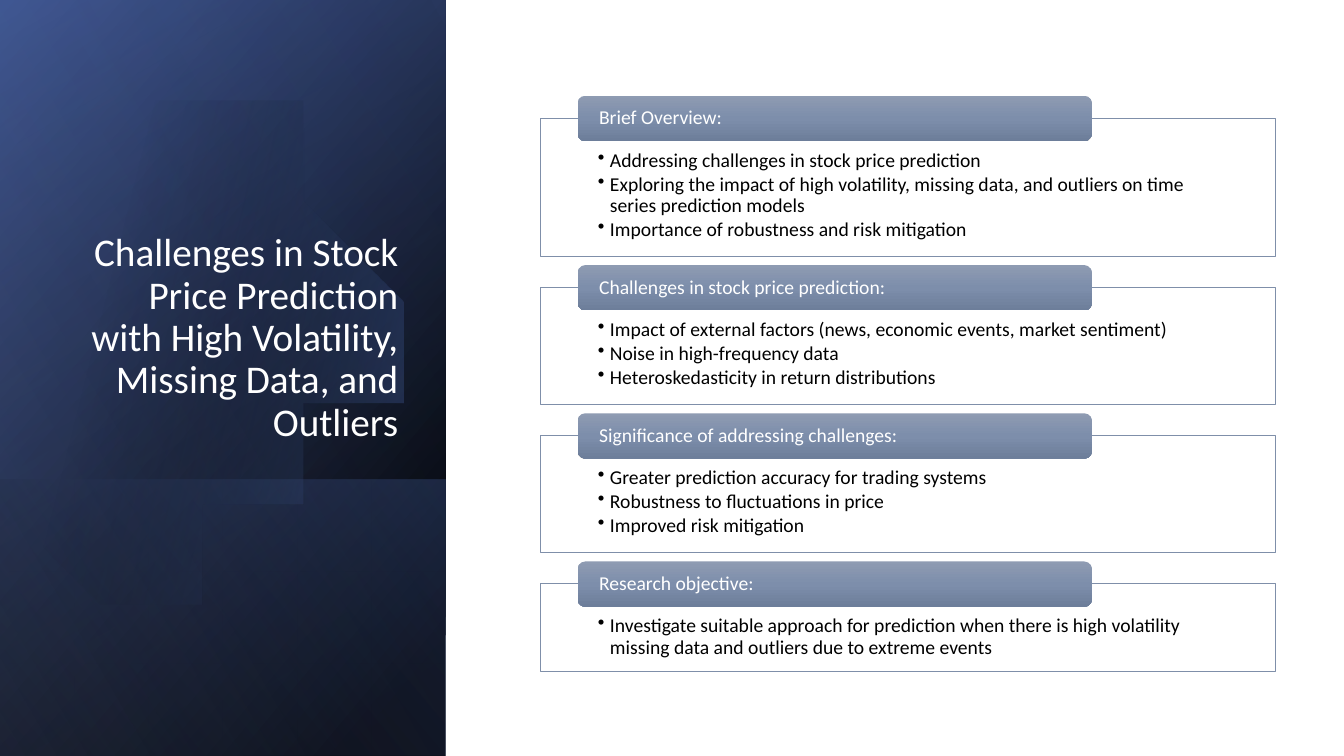
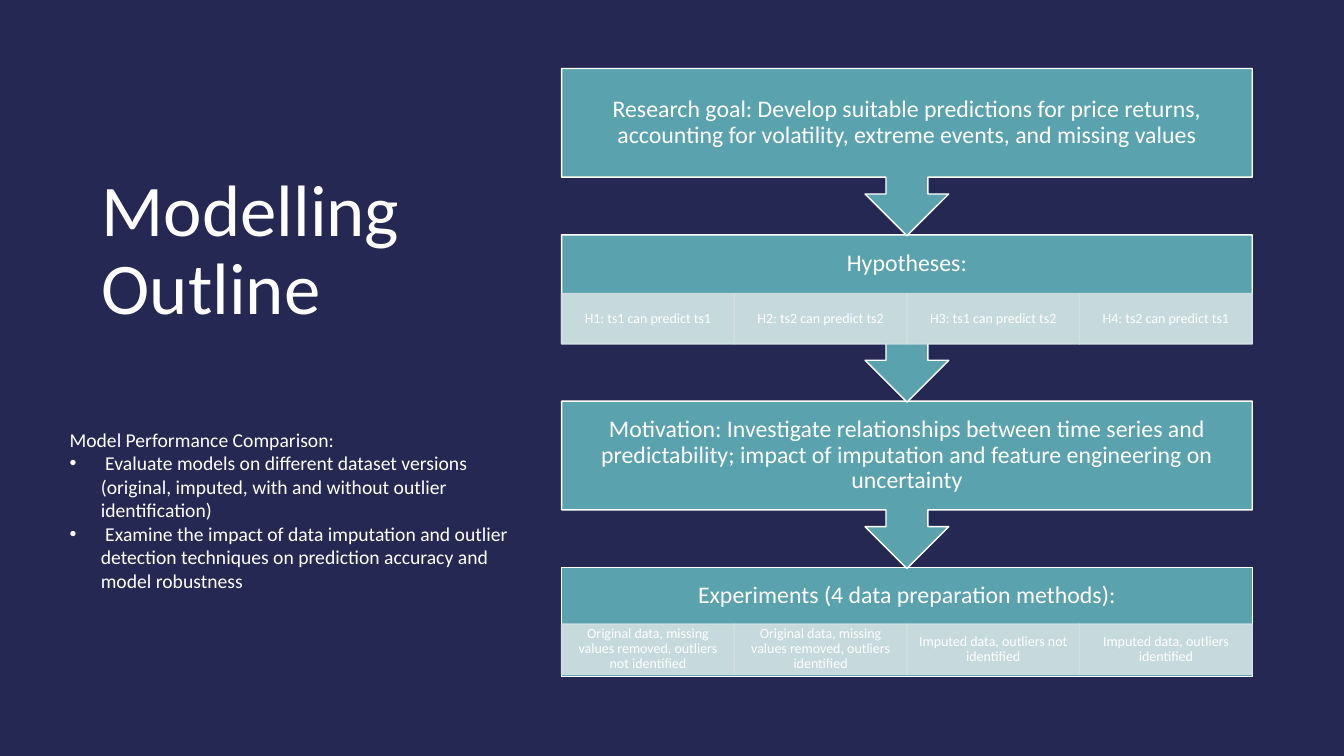
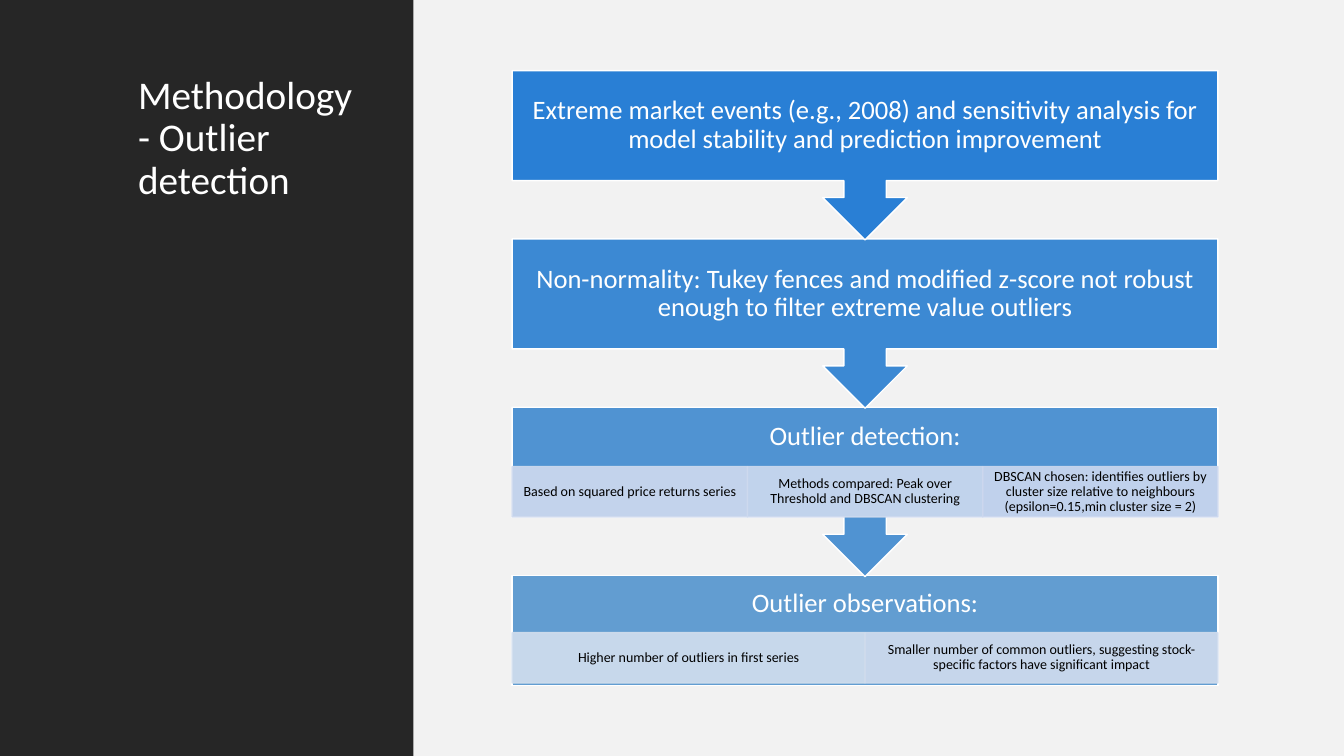
from dataclasses import dataclass

import pptx
import pptx.dml.color
import pptx.enum.shapes
import pptx.enum.text
import pptx.oxml
import pptx.oxml.ns
import pptx.util
from pptx.util import Inches

SHAPES = pptx.enum.shapes.MSO_SHAPE
ALIGN = pptx.enum.text.PP_ALIGN
ANCHOR = pptx.enum.text.MSO_ANCHOR
qn = pptx.oxml.ns.qn


@dataclass(frozen=True)
class Theme:
    font: str = "Calibri"
    white: str = "FFFFFF"
    black: str = "000000"
    navy: str = "242852"
    blue: str = "4A66AC"
    deep_blue: str = "384C81"
    pale_blue: str = "90A2CF"
    slate: str = "7F8FA9"
    tab_light: str = "8E9BB2"
    tab_mid: str = "7D8EAB"
    tab_dark: str = "6D7E9A"
    teal: str = "5AA2AE"
    pale_teal: str = "D2E0E3"
    charcoal: str = "262626"
    light_grey: str = "F2F2F2"
    hero_size: int = 52
    title_size: int = 28
    body_size: int = 14
    cell_size: int = 10


THEME = Theme()


@dataclass(frozen=True)
class Box:
    left: float
    top: float
    width: float
    height: float


@dataclass(frozen=True)
class Stop:
    position: int
    color: str
    opacity: int = 100


@dataclass(frozen=True)
class TextStyle:
    size: int
    color: str = THEME.white
    align: ALIGN = ALIGN.LEFT
    spacing: float = 0.9
    after: float = 0
    indent: float = 0


@dataclass(frozen=True)
class Card:
    heading: str
    points: tuple[str, ...]
    height: float


@dataclass(frozen=True)
class Cell:
    text: str
    fill: str


@dataclass(frozen=True)
class Step:
    text: str
    fill: str
    cells: tuple[Cell, ...] = ()


@dataclass(frozen=True)
class Flow:
    left: float
    top: float
    width: float
    pitch: float
    callout: float
    box: float
    size: int
    inset: float
    cell_color: str
    steps: tuple[Step, ...]


# Shared drawing functions
def rgb(color: str) -> pptx.dml.color.RGBColor:
    return pptx.dml.color.RGBColor.from_string(color)


def place(shape, box: Box) -> None:
    shape.left, shape.top = Inches(box.left), Inches(box.top)
    shape.width, shape.height = Inches(box.width), Inches(box.height)


def add_box(slide, kind, box: Box, fill: str, line: str = "", weight: float = 1):
    shape = slide.shapes.add_shape(
        kind, Inches(box.left), Inches(box.top), Inches(box.width), Inches(box.height))
    shape.shadow.inherit = False
    shape.fill.solid()
    shape.fill.fore_color.rgb = rgb(fill)
    if line:
        shape.line.color.rgb = rgb(line)
        shape.line.width = pptx.util.Pt(weight)
    else:
        shape.line.fill.background()
    return shape


def set_opacity(shape, percent: int) -> None:
    for color in shape._element.spPr.iter(qn("a:srgbClr")):
        color.append(pptx.oxml.parse_xml(
            f'<a:alpha {pptx.oxml.ns.nsdecls("a")} val="{percent * 1000}"/>'))


def set_gradient(shape, angle: int, stops: tuple[Stop, ...]) -> None:
    stop_xml = "".join(
        f'<a:gs pos="{stop.position * 1000}"><a:srgbClr val="{stop.color}">'
        f'<a:alpha val="{stop.opacity * 1000}"/></a:srgbClr></a:gs>' for stop in stops)
    gradient = pptx.oxml.parse_xml(
        f'<a:gradFill {pptx.oxml.ns.nsdecls("a")} rotWithShape="1"><a:gsLst>{stop_xml}</a:gsLst>'
        f'<a:lin ang="{angle * 60000}" scaled="0"/></a:gradFill>')
    shape.fill.background()
    properties = shape._element.spPr
    properties.replace(properties.find(qn("a:noFill")), gradient)


def set_bullet(paragraph, indent: float) -> None:
    properties = paragraph._p.get_or_add_pPr()
    nsdecls = pptx.oxml.ns.nsdecls("a")
    properties.set("marL", str(Inches(indent)))
    properties.set("indent", str(-Inches(indent)))
    bullet = f'<a:buChar {nsdecls} char="•"/>' if indent else f"<a:buNone {nsdecls}/>"
    properties.append(pptx.oxml.parse_xml(bullet))


def write(shape, lines: tuple[str, ...], style: TextStyle, anchor=ANCHOR.MIDDLE,
          insets: tuple[float, float, float, float] = (0.1, 0.05, 0.1, 0.05),
          plain_lines: int = 0) -> None:
    frame = shape.text_frame
    frame.word_wrap = True
    frame.auto_size = pptx.enum.text.MSO_AUTO_SIZE.NONE
    frame.vertical_anchor = anchor
    frame.margin_left, frame.margin_top, frame.margin_right, frame.margin_bottom = map(Inches, insets)
    for index, line in enumerate(lines):
        paragraph = frame.add_paragraph() if index else frame.paragraphs[0]
        paragraph.text = line
        set_bullet(paragraph, style.indent if index >= plain_lines else 0)
        paragraph.alignment = style.align
        paragraph.line_spacing = style.spacing
        paragraph.space_before = pptx.util.Pt(0)
        paragraph.space_after = pptx.util.Pt(style.after)
        paragraph.font.name = THEME.font
        paragraph.font.size = pptx.util.Pt(style.size)
        paragraph.font.color.rgb = rgb(style.color)


def write_title(slide, text: str, box: Box, anchor, size: int = THEME.title_size,
                align=ALIGN.LEFT) -> None:
    title = slide.shapes.title
    place(title, box)
    write(title, (text,), TextStyle(size, align=align), anchor)
    slide.shapes._spTree.append(title._element)  # in front of the side panel


# Gradient side panel
def add_panel_layer(slide, box: Box, angle: int, stops: tuple[Stop, ...]) -> None:
    turned = Box(box.left + (box.width - box.height) / 2,
                 box.top + (box.height - box.width) / 2, box.height, box.width)
    layer = add_box(slide, SHAPES.RECTANGLE, turned, THEME.black)
    set_gradient(layer, angle, stops)
    layer.rotation = 90
    layer._element.spPr.find(qn("a:xfrm")).set("flipH", "1")


def curve_points(start, control_1, control_2, end, count: int = 16):
    for step in range(1, count + 1):
        t = step / count
        weights = ((1 - t) ** 3, 3 * t * (1 - t) ** 2, 3 * t * t * (1 - t), t ** 3)
        yield tuple(sum(weight * point[axis] for weight, point in
                        zip(weights, (start, control_1, control_2, end))) for axis in (0, 1))


def add_disc(slide) -> None:
    start = (1.49, 1.1)
    curves = (
        ((2.46, 1.12), (3.35, 1.77), (3.63, 2.75)),
        ((3.98, 3.97), (3.28, 5.23), (2.07, 5.58)),
        ((1.31, 5.8), (0.53, 5.61), (0, 5.16)),
        ((0, 5.16), (0, 1.61), (0, 1.61)),
        ((0.23, 1.42), (0.5, 1.28), (0.8, 1.19)),
        ((1.03, 1.13), (1.26, 1.1), start),
    )
    outline = slide.shapes.build_freeform(*start, scale=float(Inches(1)))
    pen = start
    for curve in curves:
        outline.add_line_segments(list(curve_points(pen, *curve)), close=False)
        pen = curve[-1]
    outline.add_line_segments([], close=True)
    disc = outline.convert_to_shape()
    disc.shadow.inherit = False
    disc.line.fill.background()
    set_gradient(disc, 14, (Stop(29, THEME.black, 0), Stop(100, THEME.blue, 43)))


def add_gradient_panel(slide) -> None:
    whole = Box(0, 0, 4.42, 7.5)
    add_panel_layer(slide, whole, 50, (Stop(8, THEME.black), Stop(100, THEME.deep_blue)))
    add_panel_layer(slide, whole, 30, (Stop(0, THEME.black, 0), Stop(99, THEME.blue, 46)))
    add_panel_layer(slide, Box(0, 4.76, 4.42, 2.74), 130,
                    (Stop(2, THEME.blue, 29), Stop(100, THEME.black, 30)))
    add_disc(slide)
    add_panel_layer(slide, whole, 120, (Stop(0, THEME.black, 0), Stop(99, THEME.pale_blue, 11)))


# Cards with a heading tab
def add_cards(slide, cards: tuple[Card, ...]) -> None:
    top, gap = 1.17, 0.31
    points_style = TextStyle(THEME.body_size, THEME.black, after=2.1, indent=0.12)
    for card in cards:
        body = add_box(slide, SHAPES.RECTANGLE, Box(5.36, top, 7.29, card.height),
                       THEME.white, THEME.slate, 0.5)
        write(body, card.points, points_style, ANCHOR.TOP, (0.57, 0.32, 0.57, 0.11))
        tab = add_box(slide, SHAPES.ROUNDED_RECTANGLE, Box(5.73, top - 0.22, 5.1, 0.45), THEME.slate)
        set_gradient(tab, 90, (Stop(0, THEME.tab_light), Stop(50, THEME.tab_mid),
                               Stop(100, THEME.tab_dark)))
        write(tab, (card.heading,), TextStyle(THEME.body_size), insets=(0.19, 0, 0.19, 0))
        top += card.height + gap


# Flow of steps, drawn from the last one up so that each arrow overlaps the next step
def add_flow(slide, flow: Flow) -> None:
    last = len(flow.steps) - 1
    heading_style = TextStyle(flow.size, align=ALIGN.CENTER)
    cell_style = TextStyle(THEME.cell_size, flow.cell_color, ALIGN.CENTER)
    for index in range(last, -1, -1):
        step = flow.steps[index]
        top = flow.top + index * flow.pitch
        kind, height, share = (
            (SHAPES.RECTANGLE, flow.box, 0.52) if index == last
            else (SHAPES.DOWN_ARROW_CALLOUT, flow.callout, 0.54))
        heading_height = flow.box * share if step.cells else flow.box
        block = add_box(slide, kind, Box(flow.left, top, flow.width, height), step.fill, THEME.white)
        bottom_inset = flow.inset + flow.box - heading_height
        write(block, (step.text,), heading_style,
              insets=(flow.inset, flow.inset, flow.inset, bottom_inset))
        for column, cell in enumerate(step.cells):
            width = flow.width / len(step.cells)
            tile = add_box(slide, SHAPES.RECTANGLE,
                           Box(flow.left + column * width, top + heading_height, width, 0.5),
                           cell.fill, cell.fill)
            set_opacity(tile, 90)
            write(tile, (cell.text,), cell_style, insets=(0.08, 0.01, 0.08, 0.01))


# Content
CARDS = (
    Card("Brief Overview:", (
        "Addressing challenges in stock price prediction",
        "Exploring the impact of high volatility, missing data, and outliers on time series prediction models",
        "Importance of robustness and risk mitigation"), 1.37),
    Card("Challenges in stock price prediction:", (
        "Impact of external factors (news, economic events, market sentiment)",
        "Noise in high-frequency data",
        "Heteroskedasticity in return distributions"), 1.16),
    Card("Significance of addressing challenges:", (
        "Greater prediction accuracy for trading systems",
        "Robustness to fluctuations in price",
        "Improved risk mitigation"), 1.16),
    Card("Research objective:", (
        "Investigate suitable approach for prediction when there is high volatility "
        "missing data and outliers due to extreme events",), 0.87),
)

HYPOTHESES = ("H1: ts1 can predict ts1", "H2: ts2 can predict ts2",
              "H3: ts1 can predict ts2", "H4: ts2 can predict ts1")
EXPERIMENTS = ("Original data, missing values removed, outliers not identified",
               "Original data, missing values removed, outliers identified",
               "Imputed data, outliers not identified",
               "Imputed data, outliers identified")

MODELLING = Flow(5.57, 0.68, 6.85, 1.65, 1.66, 1.08, 17, 0.13, THEME.white, (
    Step("Research goal: Develop suitable predictions for price returns, accounting for "
         "volatility, extreme events, and missing values", THEME.teal),
    Step("Hypotheses:", THEME.teal, tuple(Cell(text, THEME.pale_teal) for text in HYPOTHESES)),
    Step("Motivation: Investigate relationships between time series and predictability; "
         "impact of imputation and feature engineering on uncertainty", THEME.teal),
    Step("Experiments (4 data preparation methods):", THEME.teal,
         tuple(Cell(text, THEME.pale_teal) for text in EXPERIMENTS)),
))

COMPARISON = (
    "Model Performance Comparison:",
    " Evaluate models on different dataset versions (original, imputed, with and without "
    "outlier identification)",
    " Examine the impact of data imputation and outlier detection techniques on prediction "
    "accuracy and model robustness",
)

OUTLIERS = Flow(5.08, 0.7, 7, 1.67, 1.68, 1.09, 19, 0.15, THEME.black, (
    Step("Extreme market events (e.g., 2008) and sensitivity analysis for model stability "
         "and prediction improvement", "297FD5"),
    Step("Non-normality: Tukey fences and modified z-score not robust enough to filter "
         "extreme value outliers", "3C89D3"),
    Step("Outlier detection:", "5093D2", (
        Cell("Based on squared price returns series", "D0DBEF"),
        Cell("Methods compared: Peak over Threshold and DBSCAN clustering", "CEDAEF"),
        Cell("DBSCAN chosen: identifies outliers by cluster size relative to neighbours "
             "(epsilon=0.15,min cluster size = 2)", "CDD8EF"))),
    Step("Outlier observations:", "629DD1", (
        Cell("Higher number of outliers in first series", "D3DFEE"),
        Cell("Smaller number of common outliers, suggesting stock-specific factors have "
             "significant impact", "D1DDEE"))),
))


# Slides
def build_challenges(slide) -> None:
    add_gradient_panel(slide)
    write_title(slide, "Challenges in Stock Price Prediction with High Volatility, Missing Data, and Outliers",
                Box(0.64, 1.84, 3.41, 2.62), ANCHOR.BOTTOM, align=ALIGN.RIGHT)
    add_cards(slide, CARDS)


def build_modelling(slide) -> None:
    slide.background.fill.solid()
    slide.background.fill.fore_color.rgb = rgb(THEME.navy)
    write_title(slide, "Modelling Outline", Box(0.91, 0.37, 3.69, 4.26), ANCHOR.MIDDLE, THEME.hero_size)
    add_flow(slide, MODELLING)
    comparison = slide.placeholders[1]
    place(comparison, Box(0.59, 4.19, 4.66, 1.75))
    write(comparison, COMPARISON, TextStyle(THEME.body_size, spacing=1.0, indent=0.31),
          ANCHOR.TOP, plain_lines=1)


def build_outliers(slide) -> None:
    add_box(slide, SHAPES.RECTANGLE, Box(4.09, 0, 9.24, 7.5), THEME.light_grey)
    add_box(slide, SHAPES.RECTANGLE, Box(0, 0, 4.1, 7.5), THEME.charcoal)
    write_title(slide, "Methodology - Outlier detection", Box(1.27, 0.7, 2.4, 6.1), ANCHOR.TOP)
    add_flow(slide, OUTLIERS)


def main() -> None:
    deck = pptx.Presentation()
    deck.slide_width, deck.slide_height = Inches(13.33), Inches(7.5)
    title_and_content, title_only = deck.slide_layouts[1], deck.slide_layouts[5]
    build_challenges(deck.slides.add_slide(title_only))
    build_modelling(deck.slides.add_slide(title_and_content))
    build_outliers(deck.slides.add_slide(title_only))
    deck.save("out.pptx")


if __name__ == "__main__":
    main()
